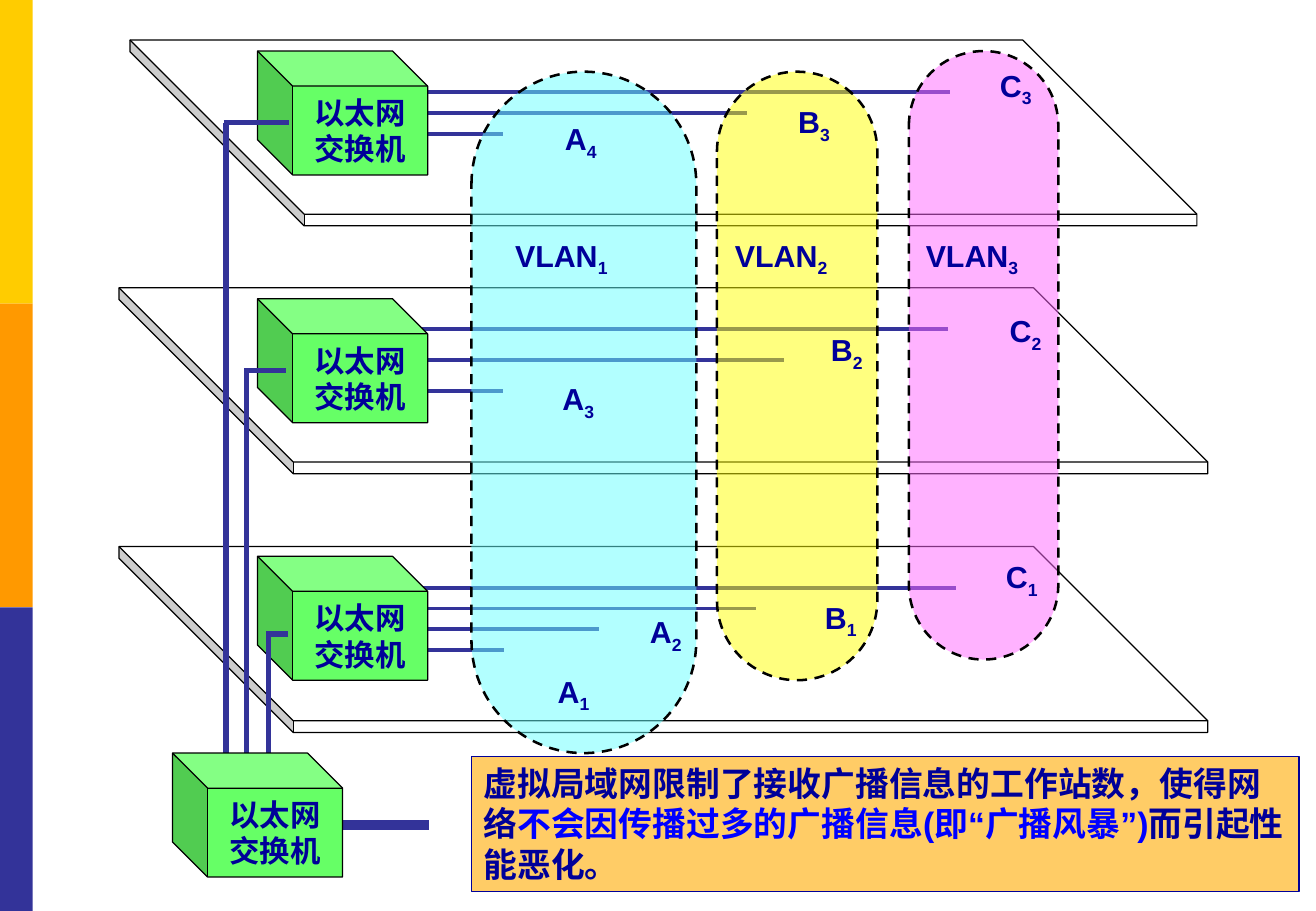
from dataclasses import dataclass

from lxml import etree
from pptx import Presentation
from pptx.dml.color import RGBColor
from pptx.enum.dml import MSO_LINE
from pptx.enum.shapes import MSO_CONNECTOR, MSO_SHAPE
from pptx.enum.text import MSO_ANCHOR, MSO_AUTO_SIZE, PP_ALIGN
from pptx.oxml.ns import qn
from pptx.shapes.autoshape import Shape
from pptx.slide import Slide
from pptx.text.text import _Run
from pptx.util import Inches, Pt

RECT, CUBE, PILL = MSO_SHAPE.RECTANGLE, MSO_SHAPE.CUBE, MSO_SHAPE.ROUNDED_RECTANGLE
STRAIGHT = MSO_CONNECTOR.STRAIGHT
DASH = MSO_LINE.DASH
TOP, MIDDLE = MSO_ANCHOR.TOP, MSO_ANCHOR.MIDDLE
LEFT, CENTER = PP_ALIGN.LEFT, PP_ALIGN.CENTER
FIT = MSO_AUTO_SIZE.SHAPE_TO_FIT_TEXT

COLS, ROWS = 108.3, 75
SWITCH_LEFT, SWITCH_W, SWITCH_H = 21.2, 14, 10.2
PLANE_H = 15.3
LINK_START = 32


@dataclass(frozen=True)
class Theme:
    font: str = "Arial"
    label_size: float = 18
    note_size: float = 20
    ink: str = "000099"
    accent: str = "0000FF"
    outline: str = "000000"
    cable: str = "333399"
    plane: str = "FFFFFF"
    switch: str = "66FF66"
    note: str = "FFCC66"
    bars: tuple[str, ...] = ("FFCC00", "FF9900", "333399")


@dataclass(frozen=True)
class Floor:
    plane_left: float
    plane_width: float
    plane_top: float
    switch_top: float
    link_top: float
    link_step: float
    link_ends: tuple[float, ...]


@dataclass(frozen=True)
class Trunk:
    col: float
    row: float
    end: float


@dataclass(frozen=True)
class Vlan:
    left: float
    top: float
    width: float
    height: float
    color: str


@dataclass(frozen=True)
class Label:
    name: str
    index: str
    left: float
    top: float
    width: float = 4.8


THEME = Theme()
FLOORS = (
    Floor(9.8, 89.6, 45, 45.8, 48.4, 1.7, (78.7, 62.2, 49.3, 41.5)),
    Floor(9.8, 89.6, 23.7, 24.6, 27.1, 2.55, (78, 64.5, 41.4)),
    Floor(10.7, 87.8, 3.3, 4.2, 7.6, 1.7, (78.2, 61.5, 41.4)),
)
TRUNKS = (Trunk(18.6, 10.1, 23.8), Trunk(20.3, 30.5, 23.5), Trunk(22.1, 52.2, 23.7))
VLANS = (
    Vlan(38.8, 5.9, 18.5, 56.1, "66FFFF"),
    Vlan(59, 5.9, 13.2, 50.1, "FFFF00"),
    Vlan(74.8, 4.2, 12.3, 50.1, "FF66FF"),
)
LABELS = (
    Label("VLAN", "1", 41.4, 19, 9.8),
    Label("VLAN", "2", 59.5, 19, 9.8),
    Label("VLAN", "3", 75.2, 19, 9.8),
    Label("A", "1", 44.9, 54.9),
    Label("A", "2", 52.5, 50),
    Label("A", "3", 45.3, 30.8),
    Label("A", "4", 45.5, 9.4),
    Label("B", "1", 66.9, 48.8),
    Label("B", "2", 67.4, 26.8),
    Label("B", "3", 64.7, 8),
    Label("C", "1", 81.8, 45.5),
    Label("C", "2", 82.1, 25.2),
    Label("C", "3", 81.3, 5),
)
NOTE = (
    ("虚拟局域网限制了接收广播信息的工作站数，使得网络", THEME.ink),
    ("不会因传播过多的广播信息(即“广播风暴”)", THEME.accent),
    ("而引起性能恶化。", THEME.ink),
)


def grid(cells: float) -> int:
    return Inches(cells / 10)


def style_run(r: _Run, size: float, color: str) -> None:
    r.font.name, r.font.size, r.font.bold = THEME.font, Pt(size), True
    r.font.color.rgb = RGBColor.from_string(color)
    etree.SubElement(r.font._element, qn("a:ea"), typeface=THEME.font)


def add_box(s: Slide, kind: MSO_SHAPE, left: float, top: float, width: float, height: float,
            fill: str, line: str | None = None, weight: float = 0.75) -> Shape:
    sp = s.shapes.add_shape(kind, grid(left), grid(top), grid(width), grid(height))
    sp.shadow.inherit = False
    sp.fill.solid()
    sp.fill.fore_color.rgb = RGBColor.from_string(fill)
    if line is None:
        sp.line.fill.background()
    else:
        sp.line.color.rgb = RGBColor.from_string(line)
        sp.line.width = Pt(weight)
    return sp


def add_cable(s: Slide, x1: float, y1: float, x2: float, y2: float, weight: float) -> None:
    cable = s.shapes.add_connector(STRAIGHT, grid(x1), grid(y1), grid(x2), grid(y2))
    cable.line.color.rgb = RGBColor.from_string(THEME.cable)
    cable.line.width = Pt(weight)
    etree.SubElement(cable._element.spPr, qn("a:effectLst"))


def add_cube(s: Slide, left: float, top: float, width: float, height: float,
             depth: float, fill: str) -> Shape:
    sp = add_box(s, CUBE, left, top, width, height, fill, THEME.outline)
    sp.adjustments[0] = depth
    sp._element.spPr.xfrm.set("flipH", "1")
    return sp


def add_switch(s: Slide, left: float, top: float) -> None:
    tf = add_cube(s, left, top, SWITCH_W, SWITCH_H, 0.283, THEME.switch).text_frame
    tf.word_wrap = False
    tf.vertical_anchor = MIDDLE
    tf.text = "以太网\n交换机"
    for p in tf.paragraphs:
        p.alignment = CENTER
        style_run(p.runs[0], THEME.label_size, THEME.ink)


def add_floor(s: Slide, floor: Floor) -> None:
    add_cube(s, floor.plane_left, floor.plane_top, floor.plane_width, PLANE_H, 0.937, THEME.plane)
    for i, end in enumerate(floor.link_ends):
        row = floor.link_top + i * floor.link_step
        add_cable(s, LINK_START, row, end, row, 2.25)
    add_switch(s, SWITCH_LEFT, floor.switch_top)


def add_vlan(s: Slide, vlan: Vlan) -> None:
    sp = add_box(s, PILL, vlan.left, vlan.top, vlan.width, vlan.height,
                 vlan.color, THEME.outline, 1.5)
    sp.adjustments[0] = 0.5
    sp.line.dash_style = DASH
    color = sp._element.spPr.find(qn("a:solidFill"))[0]
    etree.SubElement(color, qn("a:alpha"), val="50000")


def add_label(s: Slide, label: Label) -> None:
    tb = s.shapes.add_textbox(grid(label.left), grid(label.top), grid(label.width), grid(4))
    tf = tb.text_frame
    tf.word_wrap = False
    tf.auto_size = FIT
    p = tf.paragraphs[0]
    for text in (label.name, label.index):
        r = p.add_run()
        r.text = text
        style_run(r, THEME.label_size, THEME.ink)
    p.runs[1].font._element.set("baseline", "-25000")


def add_note(s: Slide) -> None:
    tf = add_box(s, RECT, 38.8, 62.3, 68.1, 11.1, THEME.note, THEME.ink).text_frame
    tf.word_wrap = True
    tf.auto_size = FIT
    tf.vertical_anchor = TOP
    p = tf.paragraphs[0]
    p.alignment = LEFT
    for text, color in NOTE:
        r = p.add_run()
        r.text = text
        style_run(r, THEME.note_size, color)


def main() -> None:
    prs = Presentation()
    prs.slide_width, prs.slide_height = grid(COLS), grid(ROWS)
    s = prs.slides.add_slide(prs.slide_layouts[6])
    bar_height = ROWS / len(THEME.bars)
    for i, color in enumerate(THEME.bars):
        add_box(s, RECT, 0, i * bar_height, 2.7, bar_height, color)
    add_note(s)
    for floor in FLOORS:
        add_floor(s, floor)
    for vlan in VLANS:
        add_vlan(s, vlan)
    for label in LABELS:
        add_label(s, label)
    for trunk in TRUNKS:
        add_cable(s, trunk.col, trunk.row, trunk.col, 65, 3)
        add_cable(s, trunk.col - 0.2, trunk.row, trunk.end, trunk.row, 3)
    add_cable(s, 26.6, 67.9, 35.3, 67.9, 6)
    add_switch(s, 14.2, 62)
    prs.save("out.pptx")


if __name__ == "__main__":
    main()
